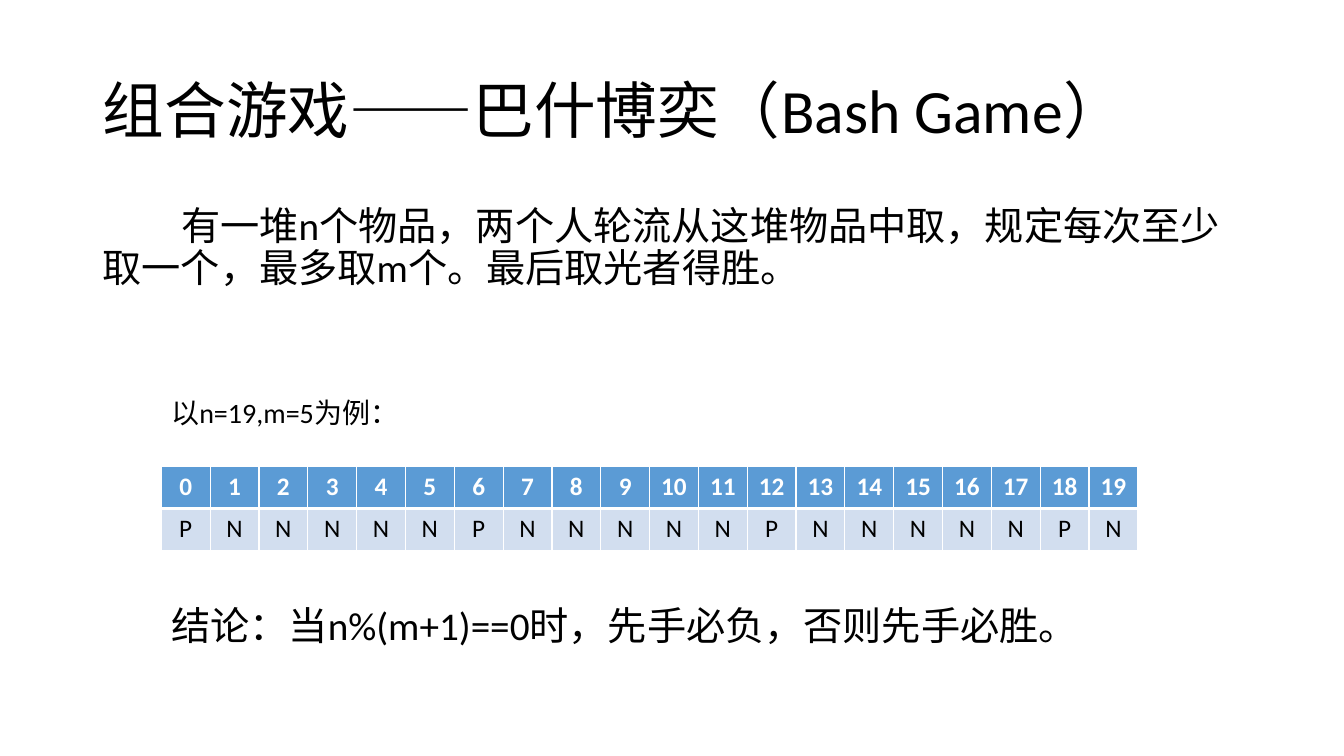
from pptx import Presentation
from pptx.dml.color import RGBColor
from pptx.enum.text import MSO_ANCHOR as Anchor, PP_ALIGN as Align
from pptx.oxml import parse_xml
from pptx.oxml.ns import nsdecls
from pptx.util import Inches, Pt

FONT = "Calibri"
BLACK, WHITE = "000000", "FFFFFF"
HEADER_BLUE, ROW_BLUE = "5B9BD5", "D2DEEF"
LAST_COUNT, MAX_TAKE = 19, 5


def color(hex_value):
    return RGBColor.from_string(hex_value)


def write(frame, text, size, ink=BLACK, bold=False, **paragraph_format):
    paragraph = frame.paragraphs[0]
    for name, value in {"alignment": Align.LEFT, **paragraph_format}.items():
        setattr(paragraph, name, value)
    run = paragraph.add_run()
    run.text = text
    for name, value in {"name": FONT, "size": Pt(size), "bold": bold}.items():
        setattr(run.font, name, value)
    run.font.color.rgb = color(ink)
    return paragraph


def add_title(slide, text, left, top, width, height):
    title = slide.shapes.title
    place = {"left": left, "top": top, "width": width, "height": height}
    for name, value in place.items():
        setattr(title, name, Inches(value))
    title.text_frame.vertical_anchor = Anchor.MIDDLE
    write(title.text_frame, text, 44, line_spacing=0.9)


def add_text(slide, text, size, box, **paragraph_format):
    frame = slide.shapes.add_textbox(*map(Inches, box)).text_frame
    frame.word_wrap = True
    return write(frame, text, size, **paragraph_format)


def add_border(cell, side, points):
    cell._tc.get_or_add_tcPr().append(parse_xml(
        f'<a:{side} {nsdecls("a")} w="{Pt(points)}"><a:solidFill>'
        f'<a:srgbClr val="{WHITE}"/></a:solidFill></a:{side}>'))


def fill_cell(cell, text, fill, ink, bold, top_line, bottom_line):
    lines = {"lnL": 1, "lnR": 1, "lnT": top_line, "lnB": bottom_line}
    for side, points in lines.items():
        add_border(cell, side, points)
    cell.fill.solid()
    cell.fill.fore_color.rgb = color(fill)
    write(cell.text_frame, text, 18, ink, bold, alignment=Align.CENTER)


def add_positions_table(slide, left, top, width, height):
    counts = range(LAST_COUNT + 1)
    outcomes = ["N" if count % (MAX_TAKE + 1) else "P" for count in counts]
    table = slide.shapes.add_table(
        2, len(counts), *map(Inches, (left, top, width, height))).table
    for column in table.columns:
        column.width = Inches(width / len(counts))
    for count, outcome in zip(counts, outcomes):
        fill_cell(table.cell(0, count), str(count), HEADER_BLUE, WHITE, True, 1, 3)
        fill_cell(table.cell(1, count), outcome, ROW_BLUE, BLACK, False, 3, 1)


def main():
    deck = Presentation()
    deck.slide_width, deck.slide_height = Inches(13.33), Inches(7.5)
    slide = deck.slides.add_slide(deck.slide_layouts[5])

    add_title(slide, "组合游戏——巴什博奕（Bash Game）", 0.92, 0.4, 11.5, 1.45)
    rules = add_text(
        slide,
        "有一堆n个物品，两个人轮流从这堆物品中取，规定每次至少取一个，"
        "最多取m个。最后取光者得胜。",
        28, (0.92, 2, 11.5, 4.76), line_spacing=0.9, space_before=Pt(10))
    rules._p.get_or_add_pPr().set("indent", str(Inches(0.78)))

    add_positions_table(slide, 1.6, 4.63, 9.69, 0.83)
    add_text(slide, f"以n={LAST_COUNT},m={MAX_TAKE}为例：", 20, (1.6, 3.87, 7.73, 0.44))
    add_text(slide, "结论：当n%(m+1)==0时，先手必负，否则先手必胜。",
             28, (1.6, 5.92, 10.6, 0.57))

    deck.save("out.pptx")


main()
